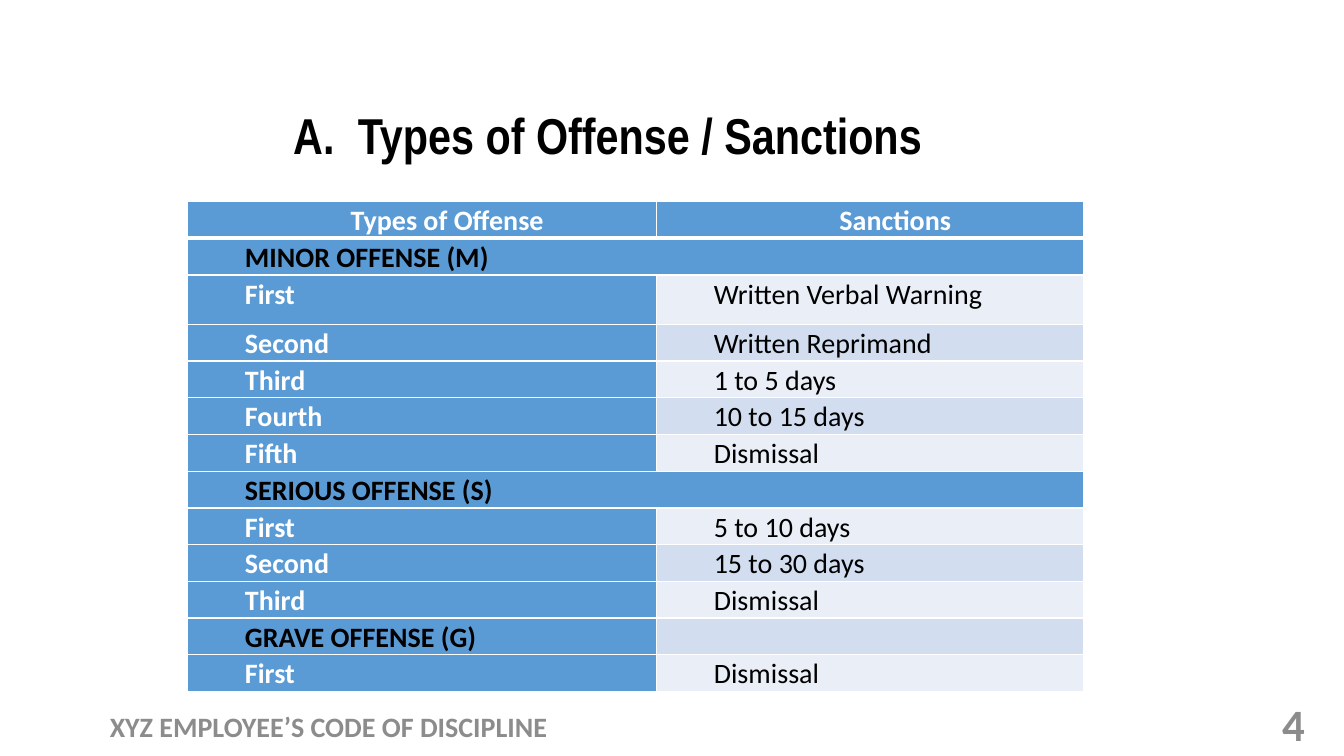
from lxml import etree
from pptx import Presentation
from pptx import util as u
from pptx.dml import color
from pptx.enum import text
from pptx.oxml import ns

PX = 9144
THEME = {
    "blue": "5B9BD5", "light": "EAEFF7", "band": "D2DEEF",
    "white": "FFFFFF", "black": "000000", "grey": "8C8C8C",
    "body": "Calibri", "heading": "Arial Narrow",
    "title_size": 36, "number_size": 32, "text_size": 20,
}
JUSTIFY, CENTER = text.PP_ALIGN.JUSTIFY, text.PP_ALIGN.CENTER
LEFT, RIGHT = text.PP_ALIGN.LEFT, text.PP_ALIGN.RIGHT


def write(para, words, tone, size, align, bold=True, face="body", margin=0, indent=0):
    para.alignment = align
    props = para._p.get_or_add_pPr()
    props.set("marL", str(margin * PX))
    props.set("indent", str(indent * PX))
    span = para.add_run()
    span.text = words
    font = {"name": THEME[face], "size": u.Pt(THEME[size]), "bold": bold}
    for name, value in font.items():
        setattr(span.font, name, value)
    span.font.color.rgb = color.RGBColor.from_string(THEME[tone])


def draw_borders(cell, widths):
    props = cell._tc.get_or_add_tcPr()
    for side, points in widths.items():
        line = etree.SubElement(props, ns.qn(f"a:ln{side}"), w=str(u.Pt(points)))
        fill = etree.SubElement(line, ns.qn("a:solidFill"))
        etree.SubElement(fill, ns.qn("a:srgbClr"), val=THEME["white"])


deck = Presentation()
deck.slide_width, deck.slide_height = 1333 * PX, 750 * PX
page = deck.slides.add_slide(deck.slide_layouts[6])

rows = [
    ("Types of Offense", "Sanctions"),
    ("MINOR OFFENSE (M)", None),
    ("First", "Written Verbal Warning"),
    ("Second", "Written Reprimand"),
    ("Third", "1 to 5 days"),
    ("Fourth", "10 to 15 days"),
    ("Fifth", "Dismissal"),
    ("SERIOUS OFFENSE (S)", None),
    ("First", "5 to 10 days"),
    ("Second", "15 to 30 days"),
    ("Third", "Dismissal"),
    ("GRAVE OFFENSE (G)", ""),
    ("First", "Dismissal"),
]
column_widths = [465, 424]
row_height, tall_row, tall_height = 25, 2, 49
frame = page.shapes.add_table(
    len(rows), 2, 186 * PX, 200 * PX, sum(column_widths) * PX, len(rows) * row_height * PX)
table = frame.table
for column, width in zip(table.columns, column_widths):
    column.width = width * PX
cell_format = {"margin_left": 7 * PX, "margin_right": 7 * PX,
               "margin_top": 0, "margin_bottom": 0}

for row, entries in enumerate(rows):
    table.rows[row].height = (tall_height if row == tall_row else row_height) * PX
    header = row == 0
    for col, words in enumerate(entries):
        cell = table.cell(row, col)
        for name, value in cell_format.items():
            setattr(cell, name, value)
        draw_borders(cell, {"L": 1, "R": 1, "T": 3 if row == 1 else 1, "B": 3 if header else 1})
        stripe = "band" if row % 2 else "light"
        shade = "blue" if header or col == 0 or words is None else stripe
        cell.fill.solid()
        cell.fill.fore_color.rgb = color.RGBColor.from_string(THEME[shade])
        if words:
            section = words.isupper()
            tone = "white" if header or (col == 0 and not section) else "black"
            para = cell.text_frame.paragraphs[0]
            para.line_spacing = 1.07
            write(para, words, tone, "text_size", CENTER if header else JUSTIFY,
                  bold=header or col == 0, margin=50)
    if entries[1] is None:
        table.cell(row, 0).merge(table.cell(row, 1))

captions = [
    ((74, 701, 512, 40), {"words": "XYZ EMPLOYEE’S CODE OF DISCIPLINE", "tone": "grey",
                          "size": "text_size", "align": LEFT, "margin": 25}),
    ((1197, 698, 107, 40), {"words": "4", "tone": "grey",
                            "size": "number_size", "align": RIGHT}),
    ((281, 98, 721, 71), {"words": "A.\tTypes of Offense / Sanctions", "tone": "black",
                          "size": "title_size", "align": JUSTIFY, "face": "heading",
                          "margin": 64, "indent": -64}),
]
for place, wording in captions:
    box = page.shapes.add_textbox(*(length * PX for length in place))
    box.text_frame.word_wrap = True
    box.text_frame.vertical_anchor = text.MSO_ANCHOR.MIDDLE
    write(box.text_frame.paragraphs[0], **wording)

deck.save("out.pptx")
